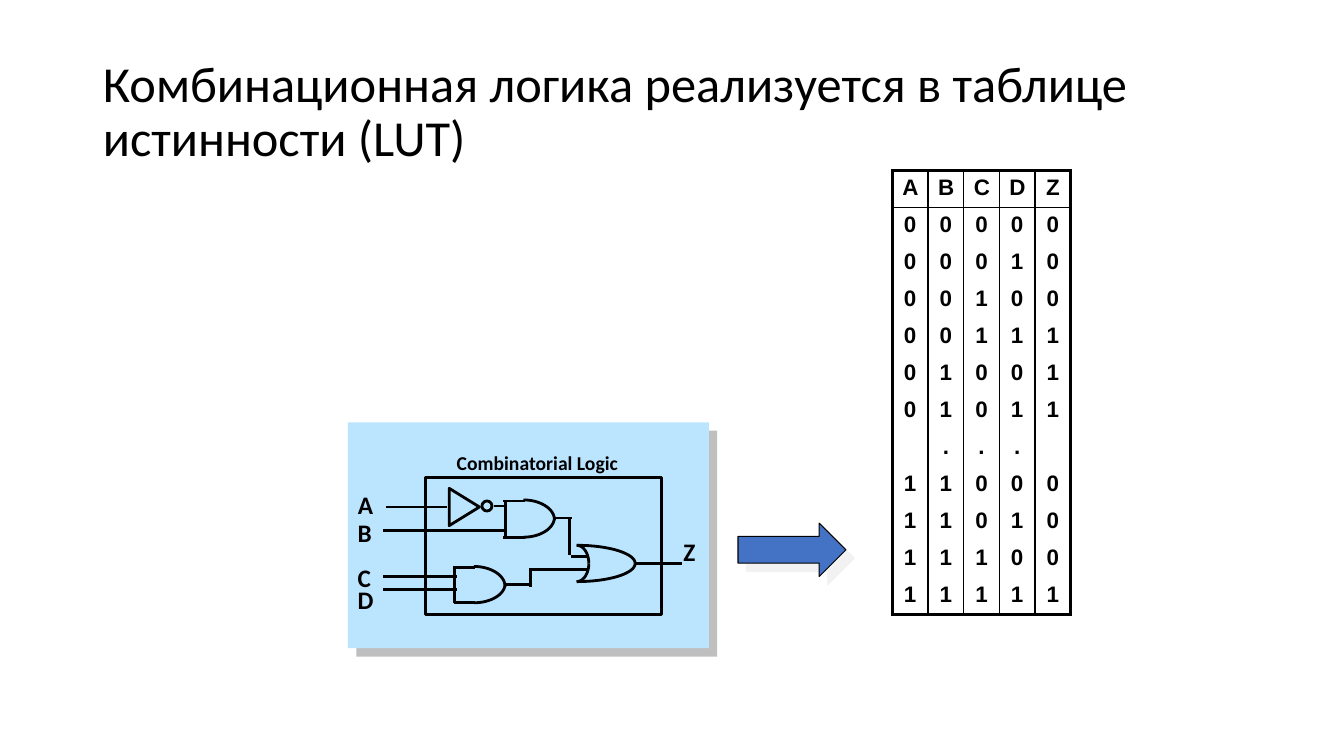
import dataclasses
import math
import typing

import lxml.etree
import pptx
import pptx.dml.color
import pptx.enum.shapes
import pptx.enum.text
import pptx.oxml.ns
import pptx.util

PX = 9144  # EMU in one px, 100 px to the inch
BLACK, WHITE = "000000", "FFFFFF"
NO_STYLE = "{2D5ABB26-0587-4C30-8999-92F81FD0307C}"
PRESET = pptx.enum.shapes.MSO_SHAPE
ARC_STEPS = 16


@dataclasses.dataclass
class Box:
    left: int
    top: int
    width: int
    height: int


@dataclasses.dataclass
class Wire:
    x1: int
    y1: int
    x2: int
    y2: int


@dataclasses.dataclass
class Arc:
    """Quarter ellipse; a negative rise bends it up from its axis."""
    left: int
    axis: int
    width: int
    rise: int


@dataclasses.dataclass
class Label:
    text: str
    box: Box
    size: int = 18
    margin_x: int = 10
    margin_y: int = 5
    spacing: float = 1.0


def px(length: float) -> int:
    return round(length * PX)


def rgb(color: str) -> pptx.dml.color.RGBColor:
    return pptx.dml.color.RGBColor.from_string(color)


def apply(target: typing.Any, formats: dict[str, typing.Any]) -> None:
    for name, value in formats.items():
        setattr(target, name, value)


def place(box: Box) -> dict[str, int]:
    return {name: px(value) for name, value in dataclasses.asdict(box).items()}


def add_xml(parent: typing.Any, tag: str, **attributes: str) -> typing.Any:
    return lxml.etree.SubElement(parent, pptx.oxml.ns.qn(tag), attributes)


def set_font(font: typing.Any, name: str, size: float, bold: bool) -> None:
    apply(font, {"name": name, "size": pptx.util.Pt(size), "bold": bold})
    font.color.rgb = rgb(BLACK)


def set_line(line: typing.Any, width: float = 2) -> None:
    line.color.rgb = rgb(BLACK)
    line.width = pptx.util.Pt(width)


def add_preset(shapes: typing.Any, kind: typing.Any, box: Box, fill: str = "",
               line: float = 2, shadow: str = "") -> typing.Any:
    shape = shapes.add_shape(kind, **place(box))
    if fill:
        shape.fill.solid()
        shape.fill.fore_color.rgb = rgb(fill)
    else:
        shape.fill.background()
    if line:
        set_line(shape.line, line)
    else:
        shape.line.fill.background()
    shape.shadow.inherit = False
    if shadow:
        effects = shape._element.spPr.find(pptx.oxml.ns.qn("a:effectLst"))
        outer = add_xml(effects, "a:outerShdw", dist=str(pptx.util.Pt(8.5)),
                        dir="2700000", algn="ctr", rotWithShape="0")
        color = add_xml(outer, "a:srgbClr", val=shadow)
        add_xml(color, "a:alpha", val="50000")
    return shape


def add_wire(shapes: typing.Any, wire: Wire) -> None:
    ends = [px(value) for value in dataclasses.astuple(wire)]
    connector = shapes.add_connector(pptx.enum.shapes.MSO_CONNECTOR.STRAIGHT, *ends)
    set_line(connector.line)
    add_xml(connector._element.spPr, "a:effectLst")


def add_arc(shapes: typing.Any, arc: Arc) -> None:
    angles = [math.pi / 2 * step / ARC_STEPS for step in range(ARC_STEPS + 1)]
    points = [(px(arc.left + arc.width * math.sin(angle)),
               px(arc.axis + arc.rise * math.cos(angle))) for angle in angles]
    builder = shapes.build_freeform(*points[0])
    builder.add_line_segments(points[1:], close=False)
    shape = builder.convert_to_shape()
    shape.fill.background()
    set_line(shape.line)
    shape.shadow.inherit = False


def add_label(shapes: typing.Any, label: Label) -> None:
    frame = shapes.add_textbox(**place(label.box)).text_frame
    apply(frame, {
        "margin_left": px(label.margin_x), "margin_right": px(label.margin_x),
        "margin_top": px(label.margin_y), "margin_bottom": px(label.margin_y),
        "word_wrap": False,
        "auto_size": pptx.enum.text.MSO_AUTO_SIZE.SHAPE_TO_FIT_TEXT})
    paragraph = frame.paragraphs[0]
    paragraph.line_spacing = label.spacing
    run = paragraph.add_run()
    run.text = label.text
    set_font(run.font, "Calibri", label.size, True)


def add_border(cell: typing.Any, tag: str, width: float) -> None:
    properties = cell._tc.get_or_add_tcPr()
    border = add_xml(properties, tag, w=str(pptx.util.Pt(width)))
    if width:
        add_xml(add_xml(border, "a:solidFill"), "a:srgbClr", val=BLACK)
    else:
        add_xml(border, "a:noFill")


def add_truth_table(shapes: typing.Any, box: Box, rows: list[str]) -> None:
    last_row, last_column = len(rows) - 1, len(rows[0]) - 1
    table = shapes.add_table(len(rows), len(rows[0]), **place(box)).table
    apply(table, {"first_row": False, "horz_banding": False})
    table._tbl.tblPr.find(pptx.oxml.ns.qn("a:tableStyleId")).text = NO_STYLE
    for r, values in enumerate(rows):
        for c, value in enumerate(values):
            cell = table.cell(r, c)
            borders = {"a:lnL": 1 if c else 2.25,
                       "a:lnR": 2.25 if c == last_column else 1,
                       "a:lnT": {0: 2.25, 1: 1}.get(r, 0),
                       "a:lnB": {0: 1, last_row: 2.25}.get(r, 0)}
            for tag, width in borders.items():
                add_border(cell, tag, width)
            cell.fill.solid()
            cell.fill.fore_color.rgb = rgb(WHITE)
            paragraph = cell.text_frame.paragraphs[0]
            paragraph.alignment = pptx.enum.text.PP_ALIGN.CENTER
            if value.strip():
                run = paragraph.add_run()
                run.text = value
                set_font(run.font, "Arial", 16, True)
            else:
                add_xml(paragraph._p, "a:endParaRPr", sz="1600")


WIRES = [Wire(*ends) for ends in (
    (471, 563, 450, 563), (471, 598, 450, 598), (451, 562, 451, 598),  # lower AND
    (521, 497, 499, 497), (521, 533, 499, 533), (501, 496, 501, 533),  # upper AND
    (383, 503, 443, 503), (490, 502, 500, 502), (501, 526, 380, 526),  # A and B
    (453, 572, 380, 572), (453, 585, 380, 585),  # C and D
    (501, 580, 527, 580), (526, 582, 526, 564), (526, 565, 582, 565),  # lower to OR
    (550, 514, 567, 514), (565, 515, 565, 551), (566, 552, 583, 552),  # upper to OR
    (630, 559, 676, 559))]  # Z
ARCS = [Arc(*values) for values in (
    (470, 582, 31, -20), (470, 579, 31, 19),  # lower AND
    (519, 516, 31, -20), (519, 513, 31, 20),  # upper AND
    (572, 559, 58, -18), (572, 559, 58, 18),  # OR front
    (572, 559, 12, -18), (572, 559, 12, 18))]  # OR back
LABELS = [Label("Combinatorial Logic", Box(445, 446, 178, 29), 14, 8, 4, 0.9)] + [
    Label(name, Box(left, top, width, 40)) for name, left, top, width in (
        ("A", 345, 481, 35), ("B", 345, 508, 34), ("C", 345, 553, 33),
        ("D", 345, 575, 36), ("Z", 668, 527, 32))]
TRUTH_ROWS = ["ABCDZ", "00000", "00010", "00100", "00111", "01001", "01011",
              " ... ", "11000", "11010", "11100", "11111"]


def main() -> None:
    presentation = pptx.Presentation()
    apply(presentation, {"slide_width": px(1333), "slide_height": px(750)})
    slide = presentation.slides.add_slide(presentation.slide_layouts[5])

    # Title
    title = slide.shapes.title
    apply(title, place(Box(92, 40, 1150, 145)))
    title.text_frame.text = "Комбинационная логика реализуется в таблице истинности (LUT)"
    title.text_frame.vertical_anchor = pptx.enum.text.MSO_ANCHOR.MIDDLE
    paragraph = title.text_frame.paragraphs[0]
    apply(paragraph, {"alignment": pptx.enum.text.PP_ALIGN.LEFT, "line_spacing": 0.9})
    set_font(paragraph.runs[0].font, "Calibri", 36, False)

    # Logic circuit on its panel
    add_preset(slide.shapes, PRESET.RECTANGLE, Box(345, 419, 358, 224),
               "BBE5FF", 0, "808080")
    circuit = slide.shapes.add_group_shape().shapes
    add_preset(circuit, PRESET.RECTANGLE, Box(422, 474, 234, 136))
    inverter = add_preset(circuit, PRESET.ISOSCELES_TRIANGLE, Box(442, 488, 37, 30))
    inverter.rotation = 90
    add_preset(circuit, PRESET.OVAL, Box(478, 497, 10, 10))
    for draw, parts in ((add_arc, ARCS), (add_wire, WIRES), (add_label, LABELS)):
        for part in parts:
            draw(circuit, part)

    # Truth table and the arrow to it
    add_truth_table(slide.shapes, Box(885, 169, 177, 440), TRUTH_ROWS)
    add_preset(slide.shapes, PRESET.RIGHT_ARROW, Box(732, 519, 107, 53),
               "4472C4", 0.75, "E7E6E6")
    presentation.save("out.pptx")


if __name__ == "__main__":
    main()
